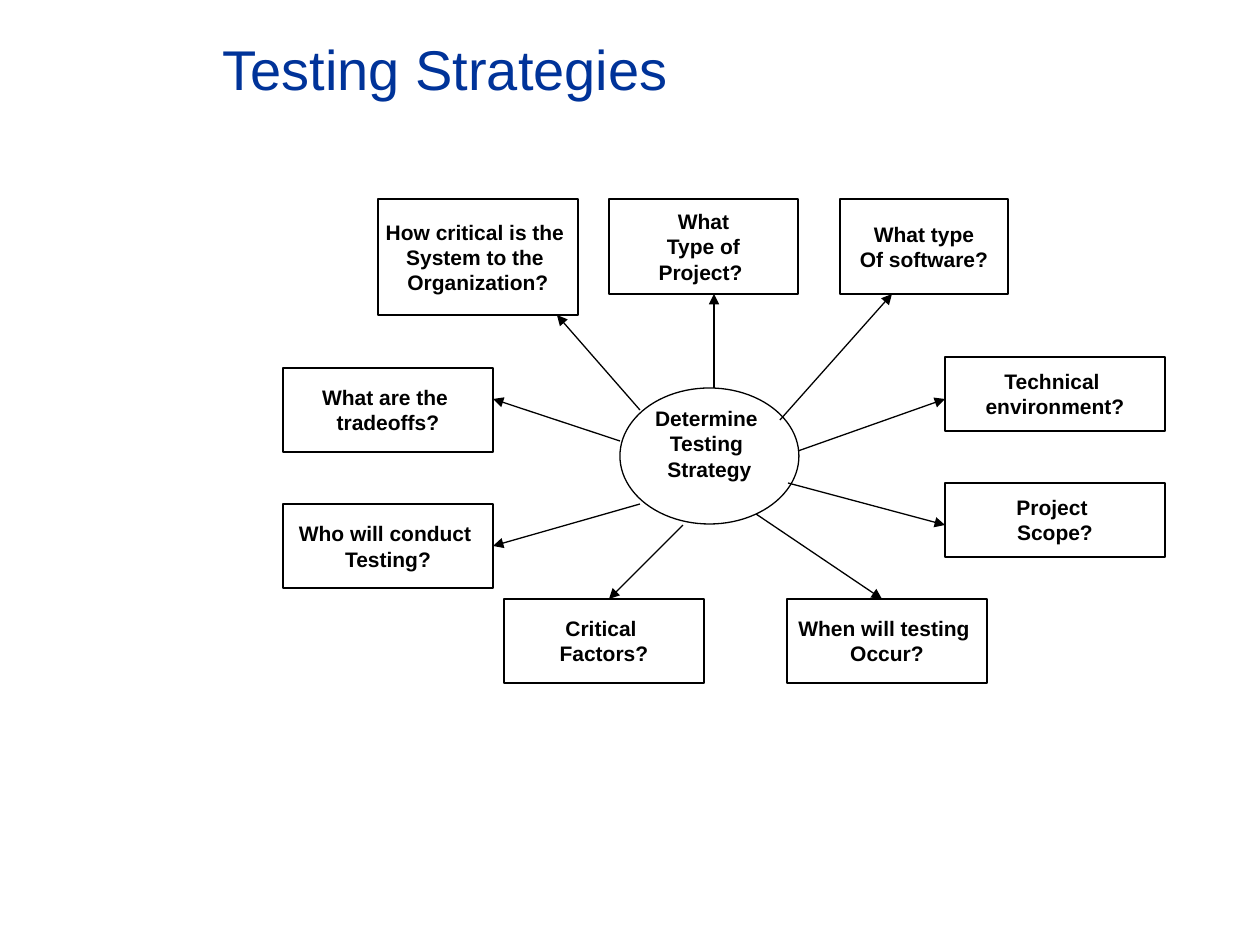
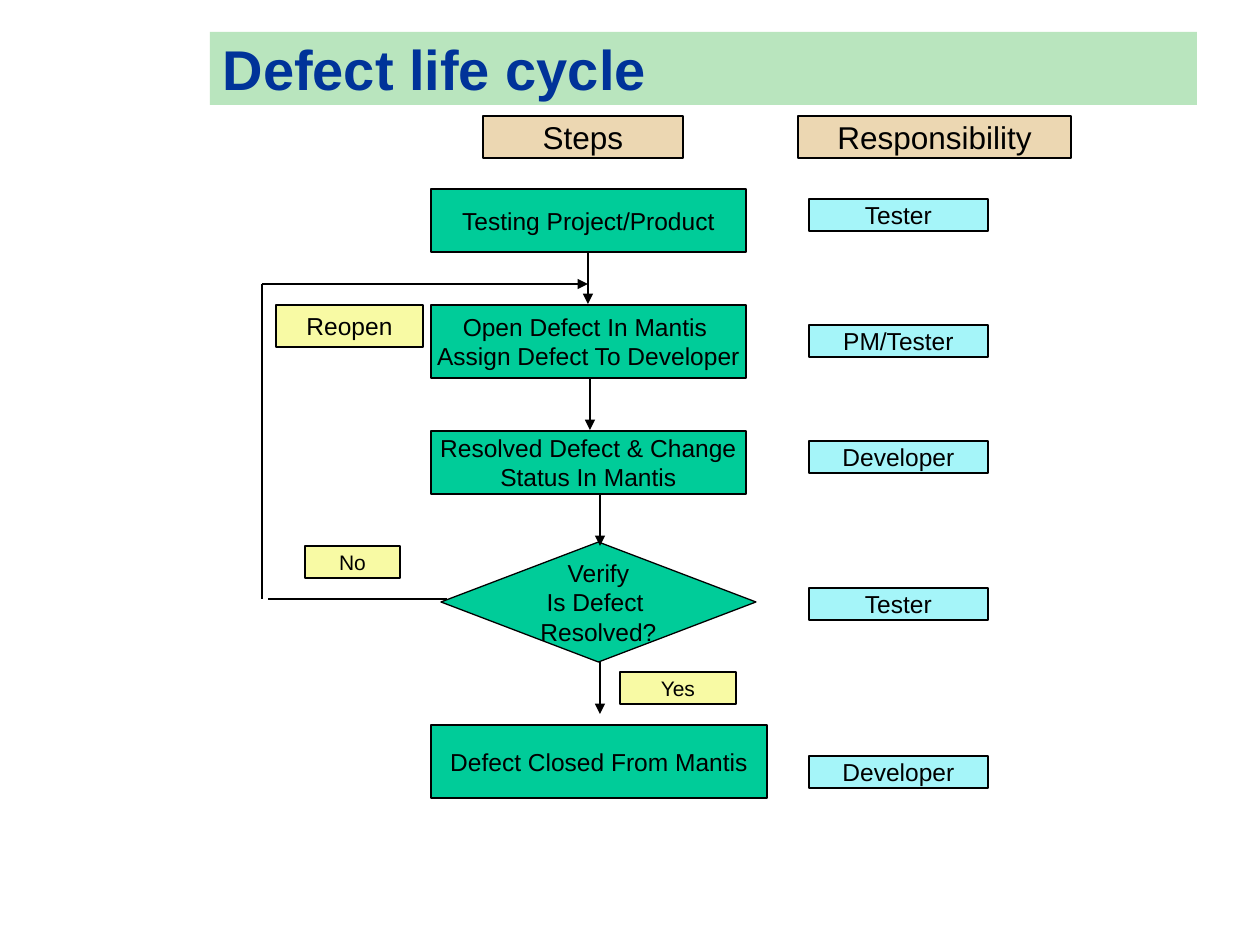
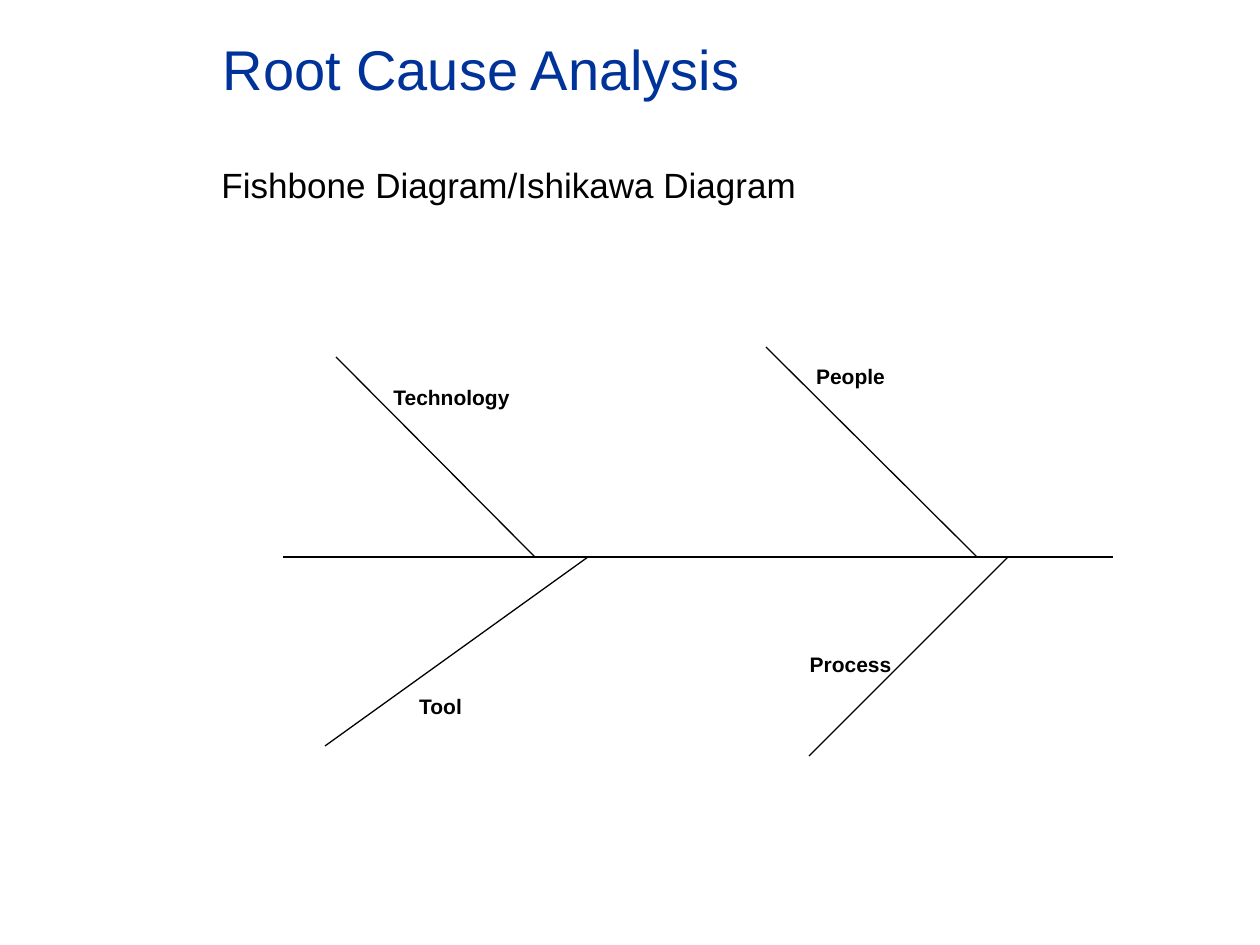
from lxml import etree
from pptx import Presentation
from pptx import util as u
from pptx.dml.color import RGBColor
from pptx.enum import shapes, text
from pptx.oxml import ns

COLORS = {
    "title": "003399",
    "ink": "000000",
    "paper": "FFFFFF",
    "band": "B9E5BE",
    "step": "00CC99",
    "header": "ECD7B2",
    "owner": "A5F5F9",
    "branch": "F8FAA4",
}
FONT = "Arial"
SCALE = u.Inches(1) / 126
TITLE_BOX = (210, 21, 1029, 95)
BAND_BOX = (210, 32, 987, 73)
RECT = shapes.MSO_SHAPE.RECTANGLE


def px(length):
    return u.Emu(round(length * SCALE))


def color(name):
    return RGBColor.from_string(COLORS[name])


def place(area, box):
    return [px(n) for n in (area[0] + box[0], area[1] + box[1], *box[2:])]


def write(frame, lines, size, ink="ink", bold=False, align=text.PP_ALIGN.CENTER):
    for index, line in enumerate(lines):
        para = frame.paragraphs[0] if index == 0 else frame.add_paragraph()
        para.alignment = align
        span = para.add_run()
        span.text = line
        span.font.name = FONT
        span.font.size = u.Pt(size)
        span.font.bold = bold
        span.font.color.rgb = color(ink)


def add_page(deck, title, box=TITLE_BOX, band=None):
    page = deck.slides.add_slide(deck.slide_layouts[5])
    holder = page.shapes.title
    holder.left, holder.top, holder.width, holder.height = [px(n) for n in box]
    if band:
        holder.fill.solid()
        holder.fill.fore_color.rgb = color(band)
    frame = holder.text_frame
    frame.auto_size = text.MSO_AUTO_SIZE.NONE
    frame.vertical_anchor = text.MSO_ANCHOR.MIDDLE
    write(frame, [title], 32, "title", bool(band), text.PP_ALIGN.LEFT)
    return page


def add_box(page, area, box, lines, fill, size, bold=False, kind=RECT):
    shape = page.shapes.add_shape(kind, *place(area, box))
    shape.shadow.inherit = False
    shape.fill.solid()
    shape.fill.fore_color.rgb = color(fill)
    shape.line.color.rgb = color("ink")
    shape.line.width = u.Pt(0.75)
    frame = shape.text_frame
    frame.word_wrap = False
    frame.vertical_anchor = text.MSO_ANCHOR.MIDDLE
    write(frame, lines, size, bold=bold)
    return shape


def add_label(page, area, box, label, size, bold=False, wrap=True):
    frame = page.shapes.add_textbox(*place(area, box)).text_frame
    frame.word_wrap = wrap
    write(frame, [label], size, bold=bold)


def add_line(page, area, start, end, arrow=False):
    left, top = area[:2]
    ends = (left + start[0], top + start[1], left + end[0], top + end[1])
    line = page.shapes.add_connector(
        shapes.MSO_CONNECTOR.STRAIGHT, *[px(n) for n in ends])
    line.line.color.rgb = color("ink")
    line.line.width = u.Pt(0.75)
    if arrow:
        head = etree.SubElement(line.line._get_or_add_ln(), ns.qn("a:tailEnd"))
        head.set("type", "triangle")
    etree.SubElement(line._element.spPr, ns.qn("a:effectLst"))


def strategy_map(page, area):
    hub = add_box(page, area, (337, 189, 179, 136),
                  ["Determine ", "Testing ", "Strategy"], "paper", 12, True,
                  shapes.MSO_SHAPE.OVAL)
    hub.text_frame.margin_bottom = px(31)
    questions = [
        (["What", "Type of", "Project? "],
         (326, 0, 189, 95), (431, 189), (431, 95)),
        (["What type", "Of software?"],
         (557, 0, 168, 95), (497, 221), (609, 95)),
        (["Technical ", "environment?"],
         (662, 158, 220, 74), (515, 252), (662, 200)),
        (["Project ", "Scope?"],
         (662, 284, 220, 74), (505, 284), (662, 326)),
        (["When will testing ", "Occur?"],
         (504, 400, 200, 84), (473, 315), (599, 400)),
        (["Critical ", "Factors?"],
         (221, 400, 200, 84), (400, 326), (326, 400)),
        (["Who will conduct ", "Testing?"],
         (0, 305, 210, 84), (357, 305), (210, 347)),
        (["What are the ", "tradeoffs?"],
         (0, 169, 210, 84), (337, 242), (210, 200)),
        (["How critical is the ", "System to the ", "Organization?"],
         (95, 0, 200, 116), (357, 211), (274, 116)),
    ]
    for lines, box, start, end in questions:
        add_line(page, area, start, end, arrow=True)
        add_box(page, area, box, lines, "paper", 12, True)


def defect_flow(page, area):
    for header, left, width in [("Steps", 221, 200), ("Responsibility", 536, 273)]:
        add_box(page, area, (left, 0, width, 42), [header], "header", 18)

    decision = shapes.MSO_SHAPE.FLOWCHART_DECISION
    steps = [
        (["Testing Project/Product"], (169, 73, 315, 63), RECT, "Tester", 83),
        (["Open Defect In Mantis ", "Assign Defect To Developer"],
         (169, 189, 315, 73), RECT, "PM/Tester", 209),
        (["Resolved Defect & Change", "Status In Mantis"],
         (169, 315, 315, 63), RECT, "Developer", 325),
        (["Verify", "Is Defect ", "Resolved?"],
         (179, 426, 315, 120), decision, "Tester", 472),
        (["Defect Closed From Mantis"],
         (169, 609, 336, 73), RECT, "Developer", 640),
    ]
    for lines, box, kind, owner, owner_top in steps:
        add_box(page, area, box, lines, "step", 14, kind=kind)
        add_box(page, area, (547, owner_top, 179, 32), [owner], "owner", 14)

    for x, top in [(326, 136), (328, 262), (338, 378), (338, 546)]:
        add_line(page, area, (x, top), (x, top + 52), arrow=True)

    add_line(page, area, (185, 483), (6, 483))
    add_line(page, area, (0, 168), (0, 483))
    add_line(page, area, (0, 168), (326, 168), arrow=True)

    branches = [
        ("Yes", (358, 556, 116, 32), 12),
        ("No", (43, 430, 95, 32), 12),
        ("Reopen", (14, 189, 147, 42), 14),
    ]
    for label, box, size in branches:
        add_box(page, area, box, [label], "branch", size)


def fishbone(page, area):
    add_label(page, area, (0, 0, 600, 55),
              "Fishbone Diagram/Ishikawa Diagram", 20, wrap=False)
    spine = 400
    add_line(page, area, (74, spine), (904, spine))
    causes = [
        ("Technology", (127, 200), 326, (127, 221)),
        ("Tool", (116, 589), 379, (116, 530)),
        ("People", (557, 190), 768, (526, 200)),
        ("Process", (600, 599), 799, (526, 488)),
    ]
    for label, tip, joint, corner in causes:
        add_line(page, area, tip, (joint, spine))
        add_label(page, area, (*corner, 231, 38), label, 12, bold=True)


def main():
    deck = Presentation()
    deck.slide_width, deck.slide_height = px(1260), px(945)
    strategy_map(add_page(deck, "Testing Strategies"), (283, 199, 882, 484))
    defect_flow(add_page(deck, "Defect life cycle", BAND_BOX, "band"),
                (262, 116, 809, 682))
    fishbone(add_page(deck, "Root Cause Analysis"), (209, 157, 904, 599))
    deck.save("out.pptx")


if __name__ == "__main__":
    main()
